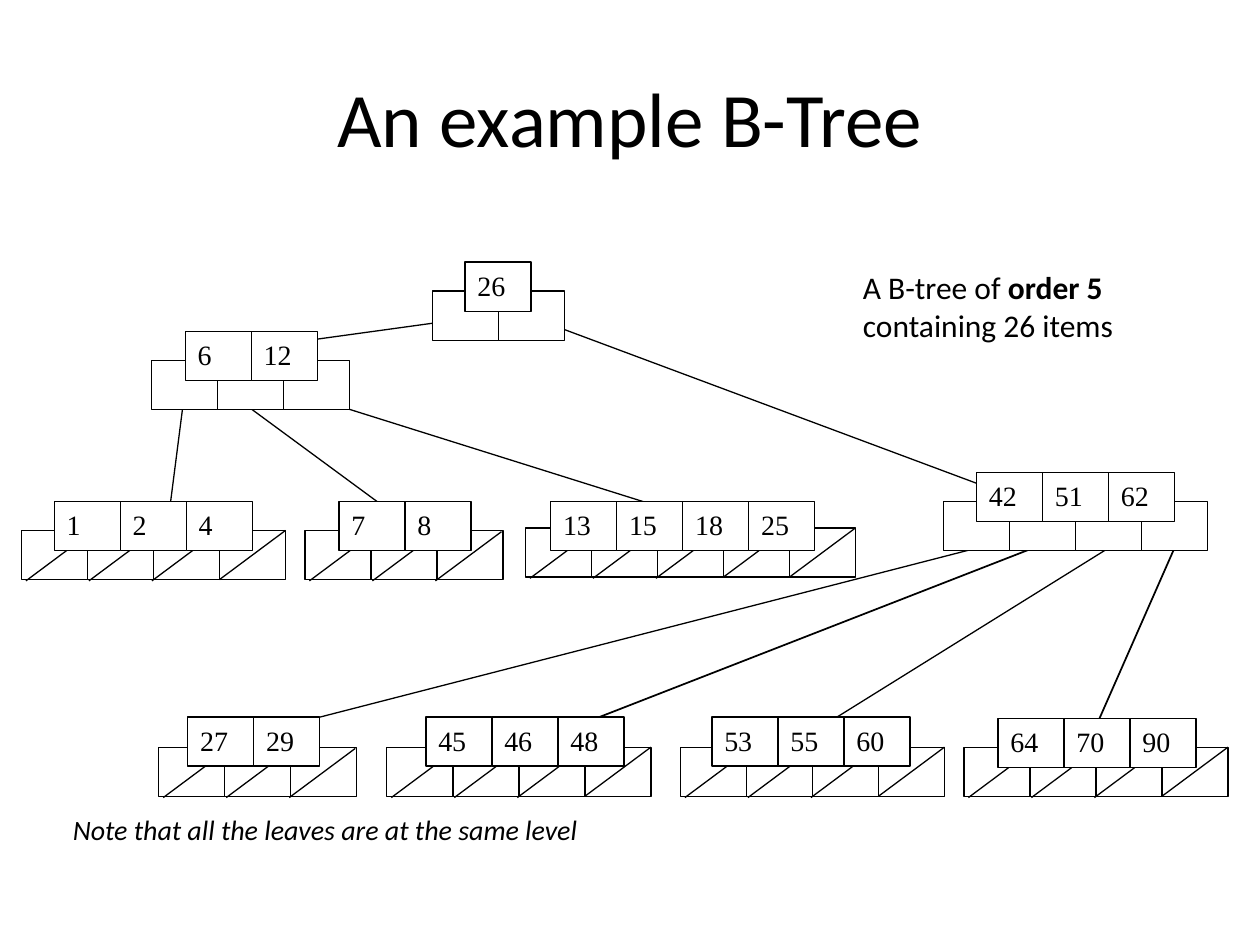
from pptx import Presentation
from pptx.dml.color import RGBColor
from pptx.enum.shapes import MSO_CONNECTOR as Connector, MSO_SHAPE as Shape
from pptx.enum.text import MSO_ANCHOR as Anchor, MSO_AUTO_SIZE as AutoSize, PP_ALIGN as Align
from pptx.oxml.ns import qn
from pptx.util import Inches, Pt
from lxml import etree

COLORS = {"ink": "000000", "paper": "FFFFFF"}
CELL_W = 2.62 / 5
CELL_H = 0.39

# keys, left and top of the key row, left and top of the pointer row
INNER_NODES = [
    ([26], 3.69, 2.08, 3.43, 2.31),
    ([6, 12], 1.47, 2.63, 1.20, 2.86),
    ([42, 51, 62], 7.75, 3.75, 7.49, 3.98),
]
LEAVES = [
    ([1, 2, 4], 0.43, 3.98, 0.17, 4.21),
    ([7, 8], 2.69, 3.98, 2.42, 4.21),
    ([13, 15, 18, 25], 4.37, 3.98, 4.17, 4.19),
    ([27, 29], 1.49, 5.69, 1.26, 5.93),
    ([45, 46, 48], 3.38, 5.69, 3.07, 5.93),
    ([53, 55, 60], 5.65, 5.69, 5.40, 5.93),
    ([64, 70, 90], 7.92, 5.70, 7.65, 5.93),
]
# start x, start y, end x, end y, width in points
LINKS = [
    (8.67, 5.83, 9.33, 4.33, 1),
    (4.17, 5.92, 8.25, 4.33, 1),
    (3.69, 2.53, 1.73, 2.80, 0.75),
    (4.17, 2.50, 8.54, 4.13, 0.75),
    (2.30, 3.10, 5.42, 4.08, 0.75),
    (2.00, 3.25, 3.25, 4.17, 0.75),
    (1.47, 3.08, 1.33, 4.17, 0.75),
    (8.83, 4.33, 6.42, 5.83, 0.75),
    (7.83, 4.33, 2.00, 5.83, 0.75),
]


def color(name):
    return RGBColor.from_string(COLORS[name])


def add_span(para, text, size, font="Calibri", bold=False, italic=False):
    span = para.add_run()
    span.text = text
    span.font.name = font
    span.font.size = Pt(size)
    span.font.bold = bold
    span.font.italic = italic
    span.font.color.rgb = color("ink")


def add_line(slide, x1, y1, x2, y2, width=0.75):
    line = slide.shapes.add_connector(
        Connector.STRAIGHT, Inches(x1), Inches(y1), Inches(x2), Inches(y2))
    line.line.color.rgb = color("ink")
    line.line.width = Pt(width)
    etree.SubElement(line._element.spPr, qn("a:effectLst"))


def add_cell(slide, left, top, key=None):
    cell = slide.shapes.add_shape(
        Shape.RECTANGLE, Inches(left), Inches(top), Inches(CELL_W), Inches(CELL_H))
    cell.shadow.inherit = False
    cell.fill.solid()
    cell.fill.fore_color.rgb = color("paper")
    cell.line.color.rgb = color("ink")
    cell.line.width = Pt(0.75)
    if key is not None:
        cell.text_frame.vertical_anchor = Anchor.TOP
        para = cell.text_frame.paragraphs[0]
        para.alignment = Align.LEFT
        add_span(para, str(key), 16, "Times New Roman")


def add_null_marks(slide, left, top, count):
    """Strike through the pointers of a leaf; the first three sit on a half-inch pitch."""
    for i in range(count):
        if i < 3:
            right, y = left + 0.56 + 0.5 * i, top + 0.01
        else:
            right, y = left + CELL_W * (i + 1), top
        add_line(slide, right, y, right - CELL_W, y + CELL_H)


def add_node(slide, keys, key_left, key_top, slot_left, slot_top, leaf=False):
    slots = len(keys) + 1
    for i in range(slots):
        add_cell(slide, slot_left + i * CELL_W, slot_top)
    if leaf:
        add_null_marks(slide, slot_left, slot_top, slots)
    for i, key in enumerate(keys):
        add_cell(slide, key_left + i * CELL_W, key_top, key)


def add_text(slide, left, top, width, height, wrap=True):
    """Add a text box and return its first paragraph."""
    box = slide.shapes.add_textbox(
        Inches(left), Inches(top), Inches(width), Inches(height))
    frame = box.text_frame
    frame.word_wrap = wrap
    frame.auto_size = AutoSize.SHAPE_TO_FIT_TEXT
    return frame.paragraphs[0]


def add_title(slide, text):
    box = slide.shapes.add_textbox(Inches(0.5), Inches(0.3), Inches(9), Inches(1.25))
    box.text_frame.word_wrap = True
    box.text_frame.vertical_anchor = Anchor.MIDDLE
    para = box.text_frame.paragraphs[0]
    para.alignment = Align.CENTER
    add_span(para, text, 44)


def main():
    deck = Presentation()
    deck.slide_width = Inches(10)
    deck.slide_height = Inches(7.5)
    slide = deck.slides.add_slide(deck.slide_layouts[6])

    add_title(slide, "An example B-Tree")
    for link in LINKS:
        add_line(slide, *link)
    for node in INNER_NODES:
        add_node(slide, *node)
    for node in LEAVES:
        add_node(slide, *node, leaf=True)

    summary = add_text(slide, 6.75, 2.08, 2.92, 0.77)
    add_span(summary, "A B-tree of ", 18)
    add_span(summary, "order 5", 18, bold=True)
    add_span(summary, " containing 26 items", 18)

    note = add_text(slide, 0.48, 6.4, 4.59, 0.37, wrap=False)
    add_span(note, "Note that all the leaves are at the same level", 16, italic=True)

    deck.save("out.pptx")


if __name__ == "__main__":
    main()
